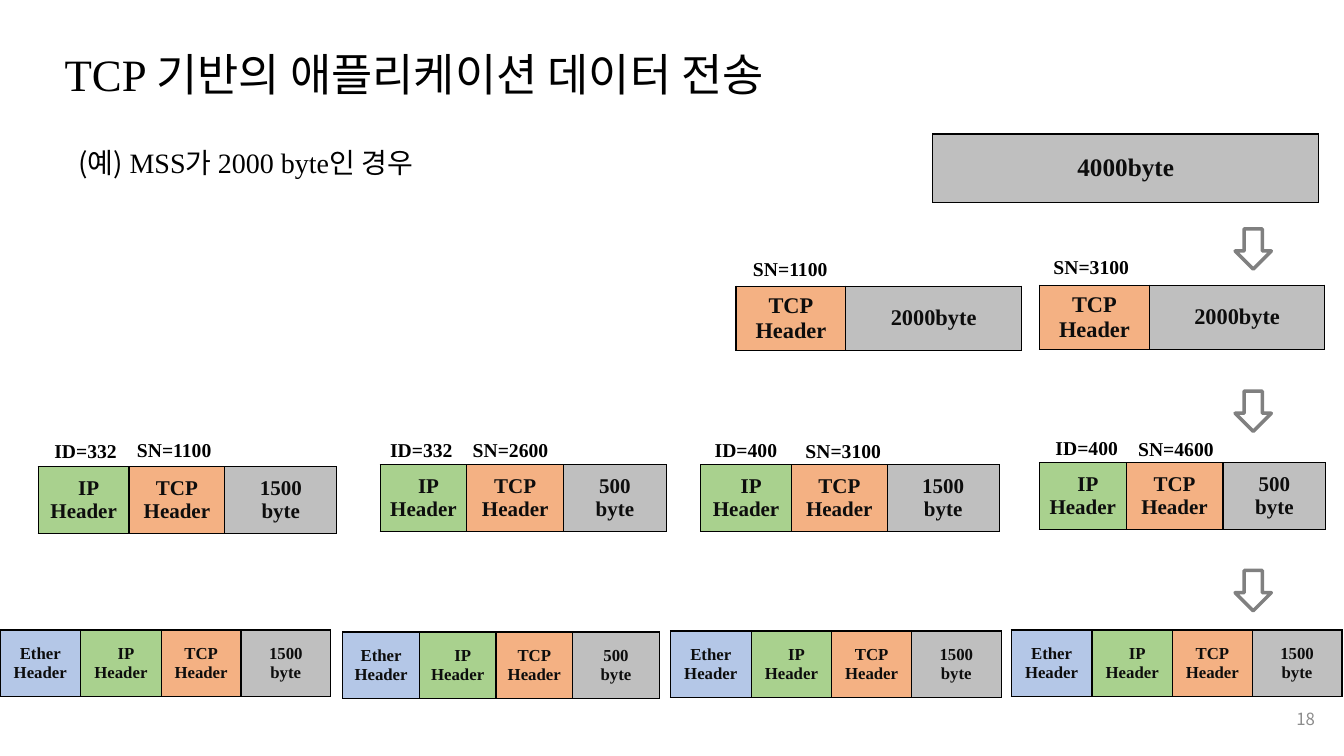
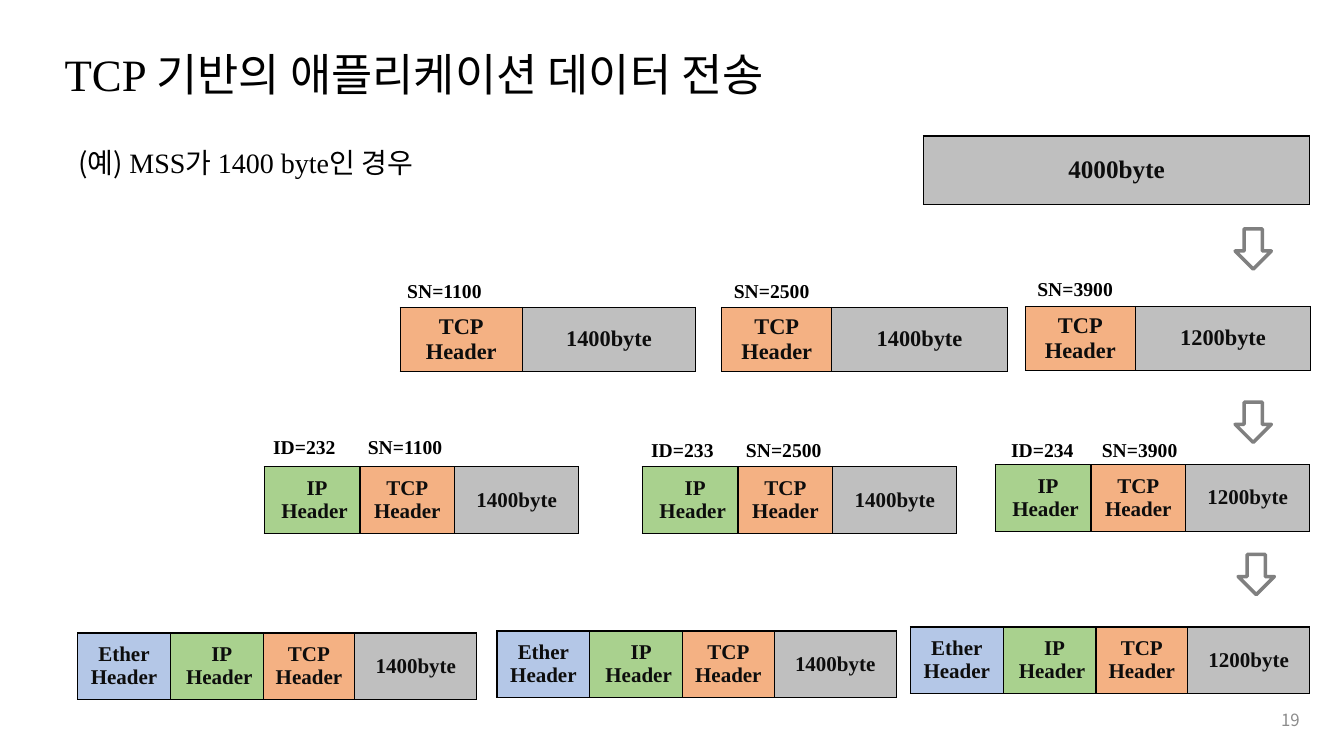
from lxml import etree
from pptx import Presentation
from pptx.dml.color import RGBColor
from pptx.enum.shapes import MSO_SHAPE
from pptx.enum.text import MSO_ANCHOR, MSO_AUTO_SIZE, PP_ALIGN
from pptx.oxml.ns import qn
from pptx.util import Inches, Pt

DOWN_ARROW = MSO_SHAPE.DOWN_ARROW
TOP, MIDDLE = MSO_ANCHOR.TOP, MSO_ANCHOR.MIDDLE
NO_AUTOFIT = MSO_AUTO_SIZE.NONE
LEFT, CENTER, RIGHT = PP_ALIGN.LEFT, PP_ALIGN.CENTER, PP_ALIGN.RIGHT

SERIF, KOREAN = "Times New Roman", "Noto Sans CJK KR"
BLACK = RGBColor(0x00, 0x00, 0x00)
CELL_TEXT = RGBColor(0x0D, 0x0D, 0x0D)
PAGE_GRAY = RGBColor(0x8C, 0x8C, 0x8C)
ARROW_GRAY = RGBColor(0x80, 0x80, 0x80)
PAYLOAD_GRAY = RGBColor(0xBF, 0xBF, 0xBF)
ETHER_BLUE = RGBColor(0xB4, 0xC7, 0xE7)
IP_GREEN = RGBColor(0xA9, 0xD1, 0x8E)
TCP_ORANGE = RGBColor(0xF4, 0xB1, 0x83)

# Outermost header first; a packet carries the last ones of this list.
HEADERS = [("Ether", ETHER_BLUE), ("IP", IP_GREEN), ("TCP", TCP_ORANGE)]
TITLE = [("TCP ", SERIF), ("기반의 애플리케이션 데이터 전송", KOREAN)]
ARROW_SIZE = (0.36, 0.4)

# Column widths of each kind of packet
DATA = (3.83,)
SEGMENT, WIDE_SEGMENT = (1.09, 1.74), (1.21, 1.72)
FULL_IP, SHORT_IP, EQUAL_IP = (0.9, 0.95, 1.11), (0.86, 0.96, 1.02), (0.95, 0.94, 1.23)
FULL_FRAME, SHORT_FRAME = (0.8, 0.8, 0.79, 0.89), (0.76, 0.76, 0.76, 0.86)
LARGE_FRAME = (0.92, 0.92, 0.91, 1.21)

# rows: font size, height, IP header indent, packets (left, top, widths, payload)
# labels: left, top, text; arrows: left, top
SLIDES = [
    {
        "page": "18", "page_at": (10.14, 6.93), "mss": "2000 byte", "example_width": 3.82,
        "rows": [
            (18, 0.68, 0, [(9.25, 1.33, DATA, "4000byte")]),
            (16, 0.63, 0, [(7.3, 2.84, SEGMENT, "2000byte"),
                           (10.31, 2.83, SEGMENT, "2000byte")]),
            (15, 0.66, 0, [(0.38, 4.63, FULL_IP, "1500\nbyte"),
                           (3.77, 4.61, SHORT_IP, "500\nbyte"),
                           (6.95, 4.61, FULL_IP, "1500\nbyte"),
                           (10.31, 4.59, SHORT_IP, "500\nbyte")]),
            (12, 0.66, 0, [(0, 6.25, FULL_FRAME, "1500\nbyte"),
                           (3.4, 6.27, SHORT_FRAME, "500\nbyte"),
                           (6.65, 6.26, FULL_FRAME, "1500\nbyte"),
                           (10.03, 6.25, FULL_FRAME, "1500\nbyte")]),
        ],
        "labels": [
            (7.37, 2.5, "SN=1100"), (10.35, 2.48, "SN=3100"),
            (0.44, 4.31, "ID=332"), (1.26, 4.3, "SN=1100"),
            (3.77, 4.3, "ID=332"), (4.59, 4.3, "SN=2600"),
            (6.99, 4.3, "ID=400"), (7.89, 4.31, "SN=3100"),
            (10.37, 4.28, "ID=400"), (11.19, 4.29, "SN=4600"),
        ],
        "arrows": [(12.25, 2.27), (12.25, 3.88), (12.25, 5.66)],
    },
    {
        "page": "19", "page_at": (9.99, 6.94), "mss": "1400 byte", "example_width": 3.74,
        "rows": [
            (18, 0.68, 0, [(9.16, 1.35, DATA, "4000byte")]),
            (16, 0.63, 0, [(3.97, 3.05, WIDE_SEGMENT, "1400byte"),
                           (7.16, 3.05, SEGMENT, "1400byte"),
                           (10.17, 3.04, SEGMENT, "1200byte")]),
            (15, 0.66, 0.05, [(2.62, 4.63, EQUAL_IP, "1400byte"),
                              (6.37, 4.63, EQUAL_IP, "1400byte"),
                              (9.87, 4.61, EQUAL_IP, "1200byte")]),
            (15, 0.66, 0.05, [(0.77, 6.28, LARGE_FRAME, "1400byte"),
                              (4.93, 6.26, LARGE_FRAME, "1400byte"),
                              (9.03, 6.22, LARGE_FRAME, "1200byte")]),
        ],
        "labels": [
            (3.94, 2.72, "SN=1100"), (7.18, 2.72, "SN=2500"), (10.19, 2.7, "SN=3900"),
            (2.61, 4.27, "ID=232"), (3.55, 4.27, "SN=1100"),
            (6.36, 4.3, "ID=233"), (7.3, 4.3, "SN=2500"),
            (9.93, 4.3, "ID=234"), (10.83, 4.3, "SN=3900"),
        ],
        "arrows": [(12.25, 2.27), (12.25, 3.99), (12.28, 5.5)],
    },
]


def write_runs(paragraph, runs, size, color, bold=False, align=LEFT):
    """Write (text, font name) runs, using the font for Korean text too."""
    paragraph.alignment = align
    for text, font_name in runs:
        run = paragraph.add_run()
        run.text = text
        run.font.name = font_name
        run.font.size = Pt(size)
        run.font.bold = bold
        run.font.color.rgb = color
        east_asian = etree.SubElement(run.font._element, qn("a:ea"))
        east_asian.set("typeface", font_name)


def add_text(slide, left, top, width, height, wrap=False, anchor=TOP):
    """Add an empty text box and return its first paragraph."""
    box = slide.shapes.add_textbox(Inches(left), Inches(top), Inches(width), Inches(height))
    box.text_frame.word_wrap = wrap
    box.text_frame.vertical_anchor = anchor
    return box.text_frame.paragraphs[0]


def add_title(slide):
    title = slide.shapes.title
    title.left, title.top = Inches(0.54), Inches(0.47)
    title.width, title.height = Inches(7.75), Inches(1.18)
    frame = title.text_frame
    frame.auto_size = NO_AUTOFIT
    frame.vertical_anchor = TOP
    paragraph = frame.paragraphs[0]
    paragraph.line_spacing = 0.9
    write_runs(paragraph, TITLE, 32, BLACK)


def set_borders(cell):
    properties = cell._tc.get_or_add_tcPr()
    for side in ("a:lnL", "a:lnR", "a:lnT", "a:lnB"):
        line = etree.SubElement(properties, qn(side), w=str(Pt(1)))
        fill = etree.SubElement(line, qn("a:solidFill"))
        etree.SubElement(fill, qn("a:srgbClr"), val=str(BLACK))


def fill_cell(cell, lines, color, size, indents):
    set_borders(cell)
    cell.fill.solid()
    cell.fill.fore_color.rgb = color
    cell.vertical_anchor = MIDDLE
    frame = cell.text_frame
    for index, (line, indent) in enumerate(zip(lines, indents)):
        paragraph = frame.add_paragraph() if index else frame.paragraphs[0]
        if indent:
            paragraph._p.get_or_add_pPr().set("marL", str(Inches(indent)))
        write_runs(paragraph, [(line, SERIF)], size, CELL_TEXT, True, CENTER)


def add_packet(slide, packet, size, height, header_indent):
    left, top, widths, payload = packet
    table = slide.shapes.add_table(
        1, len(widths), Inches(left), Inches(top), Inches(sum(widths)), Inches(height)
    ).table
    table.first_row = table.horz_banding = False
    for column, width in zip(table.columns, widths):
        column.width = Inches(width)
    first_header = len(HEADERS) - len(widths) + 1
    fields = [((name, "Header"), color) for name, color in HEADERS[first_header:]]
    fields.append((payload.split("\n"), PAYLOAD_GRAY))
    for cell, (lines, color) in zip(table.rows[0].cells, fields):
        indents = (0.1, header_indent) if color == IP_GREEN else (0, 0)
        fill_cell(cell, lines, color, size, indents)


def add_arrow(slide, left, top):
    arrow = slide.shapes.add_shape(
        DOWN_ARROW, Inches(left), Inches(top), *map(Inches, ARROW_SIZE))
    arrow.shadow.inherit = False
    arrow.fill.background()
    arrow.line.color.rgb = ARROW_GRAY
    arrow.line.width = Pt(2.5)


def build_slide(presentation, content):
    slide = presentation.slides.add_slide(presentation.slide_layouts[5])
    add_title(slide)
    example = add_text(slide, 0.68, 1.43, content["example_width"], 0.44, wrap=True)
    example.line_spacing = 0.9
    runs = [("(예) ", KOREAN), ("MSS", SERIF), ("가 ", KOREAN),
            (content["mss"], SERIF), ("인 경우", KOREAN)]
    write_runs(example, runs, 20, BLACK)
    for size, height, header_indent, packets in content["rows"]:
        for packet in packets:
            add_packet(slide, packet, size, height, header_indent)
    for left, top, text in content["labels"]:
        width = 0.83 if text.startswith("ID") else 0.96
        label = add_text(slide, left, top, width, 0.34)
        write_runs(label, [(text, SERIF)], 14, BLACK, True)
    for left, top in content["arrows"]:
        add_arrow(slide, left, top)
    page = add_text(slide, *content["page_at"], 3, 0.4, wrap=True, anchor=MIDDLE)
    write_runs(page, [(content["page"], KOREAN)], 12, PAGE_GRAY, align=RIGHT)


def main():
    presentation = Presentation()
    presentation.slide_width, presentation.slide_height = Inches(13.33), Inches(7.5)
    for content in SLIDES:
        build_slide(presentation, content)
    presentation.save("out.pptx")


if __name__ == "__main__":
    main()
